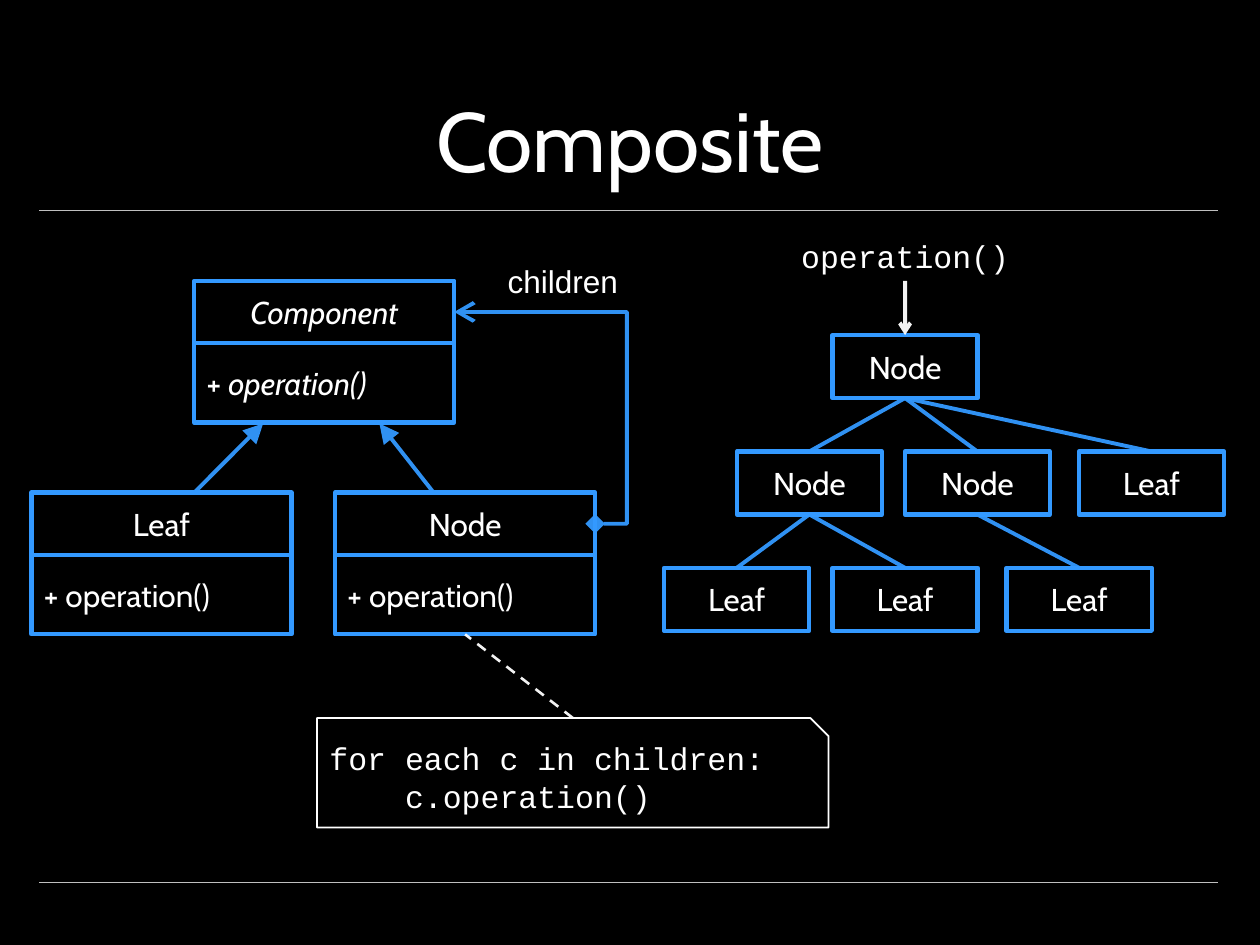
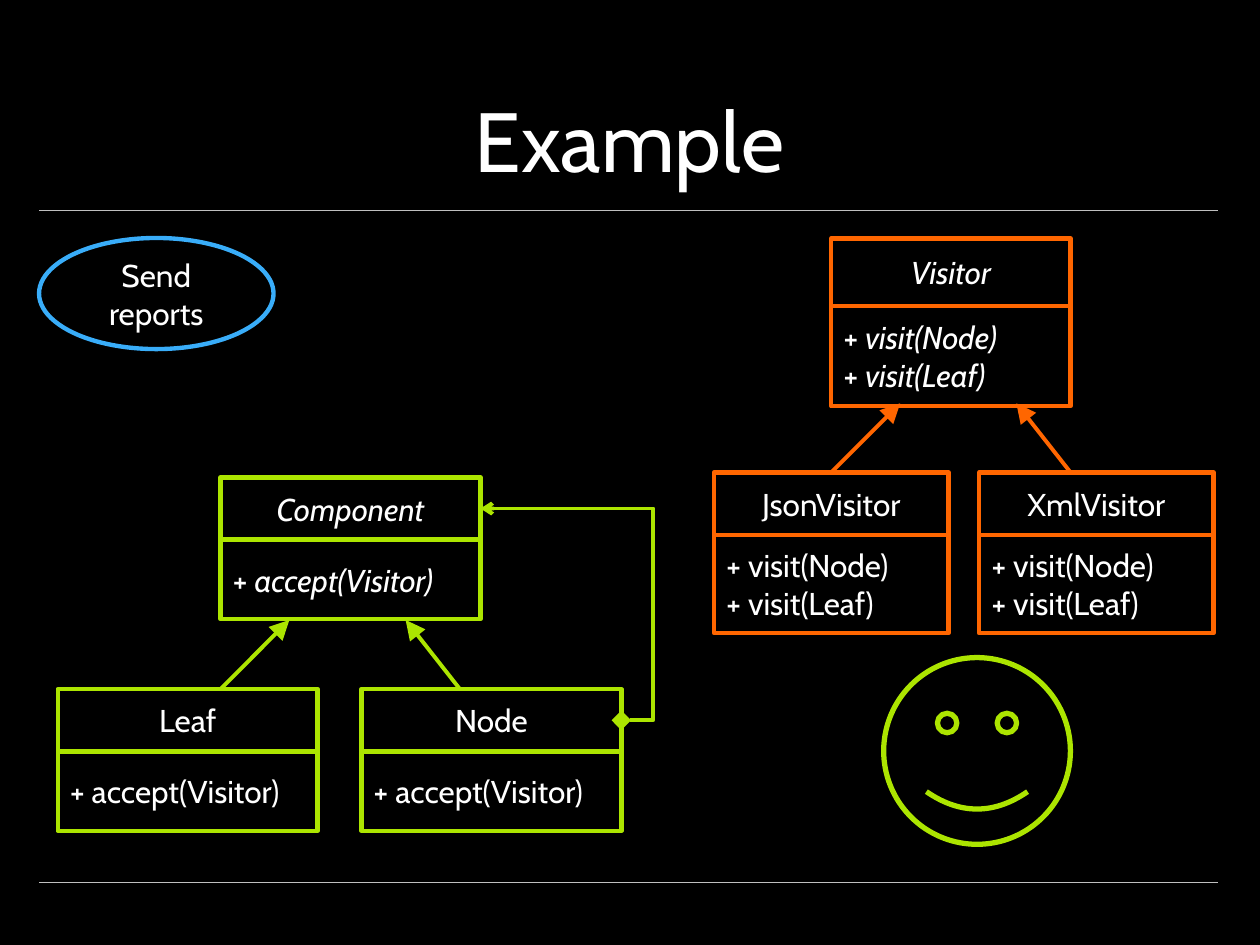
from lxml import etree
from pptx import Presentation
from pptx.dml.color import RGBColor
from pptx.enum.dml import MSO_LINE
from pptx.enum.shapes import MSO_CONNECTOR, MSO_SHAPE
from pptx.enum.text import MSO_ANCHOR, PP_ALIGN
from pptx.oxml.ns import qn
from pptx.util import Pt

STRAIGHT, ELBOW = MSO_CONNECTOR.STRAIGHT, MSO_CONNECTOR.ELBOW
RECTANGLE, OVAL = MSO_SHAPE.RECTANGLE, MSO_SHAPE.OVAL
SNIPPED, SMILEY = MSO_SHAPE.SNIP_1_RECTANGLE, MSO_SHAPE.SMILEY_FACE
LEFT, CENTER = PP_ALIGN.LEFT, PP_ALIGN.CENTER
TOP, MIDDLE, BOTTOM = MSO_ANCHOR.TOP, MSO_ANCHOR.MIDDLE, MSO_ANCHOR.BOTTOM
DASH = MSO_LINE.DASH

BLACK, WHITE, RULE_GRAY = "000000", "FFFFFF", "BFBFBF"
BLUE, SKY, GREEN, ORANGE = "3399FF", "39ADF9", "ACE500", "FF6600"
BODY_FONT, LABEL_FONT, CODE_FONT = "Cabin", "Arial", "Courier New"

CLASS_WIDTH, CLASS_HEADER, CLASS_BODY = 148.6, 35.6, 45.4
TREE_WIDTH, TREE_HEIGHT, TREE_STEP = 83, 36, 66.5
CODE_INDENT = 43.2


def rgb(value):
    return RGBColor.from_string(value)


def write(shape, lines, size=18, font=BODY_FONT, color=WHITE, italic=False,
          prefix="", align=CENTER, anchor=MIDDLE, wrap=True, indents=()):
    frame = shape.text_frame
    frame.word_wrap = wrap
    frame.vertical_anchor = anchor
    for index, line in enumerate(lines):
        paragraph = frame.paragraphs[0] if index == 0 else frame.add_paragraph()
        paragraph.alignment = align
        if index < len(indents):
            paragraph._p.get_or_add_pPr().set("marL", str(int(Pt(indents[index]))))
        for text, slanted in ((prefix, False), (line, italic)):
            if text:
                run = paragraph.add_run()
                run.text = text
                run.font.size = Pt(size)
                run.font.name = font
                run.font.italic = slanted
                run.font.color.rgb = rgb(color)


def add_label(slide, text, left, top, width, height, **text_format):
    label = slide.shapes.add_textbox(Pt(left), Pt(top), Pt(width), Pt(height))
    write(label, [text], **text_format)
    return label


def add_outline(slide, kind, left, top, width, height, color, weight=2.5,
                lines=(), **text_format):
    outline = slide.shapes.add_shape(kind, Pt(left), Pt(top), Pt(width), Pt(height))
    outline.shadow.inherit = False
    outline.fill.background()
    outline.line.color.rgb = rgb(color)
    outline.line.width = Pt(weight)
    write(outline, lines, **text_format)
    return outline


def add_link(slide, start, end, color, weight=2.25, kind=STRAIGHT, head=None,
             tail=None, dash=None, alpha=None, bend=None):
    link = slide.shapes.add_connector(kind, *(Pt(v) for v in (*start, *end)))
    link.line.color.rgb = rgb(color)
    link.line.width = Pt(weight)
    if dash:
        link.line.dash_style = dash
    properties = link._element.spPr
    stroke = properties.find(qn("a:ln"))
    if alpha:
        tint = stroke.find(".//" + qn("a:srgbClr"))
        etree.SubElement(tint, qn("a:alpha"), val=str(alpha * 1000))
    for tag, ending in (("a:headEnd", head), ("a:tailEnd", tail)):
        if ending:
            style, scale = ending
            etree.SubElement(stroke, qn(tag), type=style, w=scale, len=scale)
    if bend is not None:
        guides = properties.find(qn("a:prstGeom")).get_or_add_avLst()
        etree.SubElement(guides, qn("a:gd"), name="adj1", fmla=f"val {bend}")
    etree.SubElement(properties, qn("a:effectLst"))
    return link


def join(slide, source, target, color, source_side=2, target_side=0, **link_format):
    link = add_link(slide, (0, 0), (0, 0), color, **link_format)
    link.begin_connect(source, source_side)
    link.end_connect(target, target_side)


def start_slide(deck, title):
    slide = deck.slides.add_slide(deck.slide_layouts[6])
    slide.background.fill.solid()
    slide.background.fill.fore_color.rgb = rgb(BLACK)
    for y in (120, 504):
        add_link(slide, (22.5, y), (696, y), RULE_GRAY, weight=0.25)
    add_label(slide, title, 50.5, 8.5, 618.5, 103, size=48, anchor=BOTTOM)
    return slide


def add_class(slide, name, operations, left, top, color, width=CLASS_WIDTH,
              header_height=CLASS_HEADER, body_height=CLASS_BODY, abstract=False):
    add_outline(slide, RECTANGLE, left, top, width, header_height, color,
                lines=[name], italic=abstract)
    return add_outline(slide, RECTANGLE, left, top + header_height, width,
                       body_height, color, lines=operations, prefix="+ ",
                       italic=abstract, align=LEFT)


def add_inheritance(slide, parent_left, child_top, color, alpha=None):
    for start_x, end_x in ((0, 39.4), (136.8, 105.8)):
        add_link(slide, (parent_left + start_x, child_top),
                 (parent_left + end_x, child_top - 39.5), color,
                 tail=("triangle", "lg"), alpha=alpha)


def add_composite(slide, operation, left, top, color, arrow_scale, alpha=None):
    child_top = top + 121
    node_left = left + 80.5
    add_class(slide, "Component", [operation], left, top, color, abstract=True)
    add_class(slide, "Leaf", [operation], left - 93, child_top, color)
    node_body = add_class(slide, "Node", [operation], node_left, child_top, color)
    add_inheritance(slide, left, child_top, color, alpha)
    add_link(slide, (node_left + CLASS_WIDTH, child_top + CLASS_HEADER / 2),
             (left + CLASS_WIDTH, top + CLASS_HEADER / 2), color, kind=ELBOW,
             head=("diamond", "lg"), tail=("arrow", arrow_scale), alpha=alpha,
             bend=-22600)
    return node_body


def add_tree(slide, name, left, top, children=()):
    parent = add_outline(slide, RECTANGLE, left, top, TREE_WIDTH, TREE_HEIGHT,
                         BLUE, lines=[name])
    for branch in children:
        child = add_tree(slide, branch[0], branch[1], top + TREE_STEP, *branch[2:])
        join(slide, parent, child, BLUE, alpha=95)
    return parent


def build_composite(deck):
    slide = start_slide(deck, "Composite")
    node_body = add_composite(slide, "operation()", 111, 160.5, BLUE, "lg", alpha=95)
    add_label(slide, "children", 283, 146, 78.5, 29, font=LABEL_FONT,
              align=LEFT, anchor=TOP, wrap=False)
    note = add_outline(slide, SNIPPED, 181.2, 410.3, 292.3, 62.6, WHITE, weight=1,
                       lines=["for each c in children:", "c.operation()"],
                       font=CODE_FONT, align=LEFT, indents=(0, CODE_INDENT))
    join(slide, note, node_body, WHITE, source_side=0, target_side=2,
         weight=1.5, dash=DASH, alpha=95)
    root = add_tree(slide, "Node", 475.7, 191.5, [
        ("Node", 421, [("Leaf", 379.5), ("Leaf", 475.7)]),
        ("Node", 517, [("Leaf", 575.2)]),
        ("Leaf", 616.5),
    ])
    call = add_label(slide, "operation()", 449.5, 131.5, 135.4, 29,
                     font=CODE_FONT, wrap=False)
    join(slide, call, root, WHITE, tail=("arrow", "med"), alpha=95)


def build_example(deck):
    slide = start_slide(deck, "Example")
    add_outline(slide, OVAL, 22.3, 136, 134, 63.5, SKY, lines=["Send reports"])
    add_composite(slide, "accept(Visitor)", 126, 272.8, GREEN, "med")
    visits = ["visit(Node)", "visit(Leaf)"]
    visitor_left, child_top = 475, 270
    add_class(slide, "Visitor", visits, visitor_left, 136.2, ORANGE, width=136.8,
              header_height=38.7, body_height=57.3, abstract=True)
    for name, left in (("JsonVisitor", 408), ("XmlVisitor", 559.5)):
        add_class(slide, name, visits, left, child_top, ORANGE, width=134,
                  body_height=56.2)
    add_inheritance(slide, visitor_left, child_top, ORANGE)
    add_outline(slide, SMILEY, 505, 375.8, 106.7, 106.7, GREEN, weight=3)


def main():
    deck = Presentation()
    deck.slide_width, deck.slide_height = Pt(720), Pt(540)
    build_composite(deck)
    build_example(deck)
    deck.save("out.pptx")


if __name__ == "__main__":
    main()
